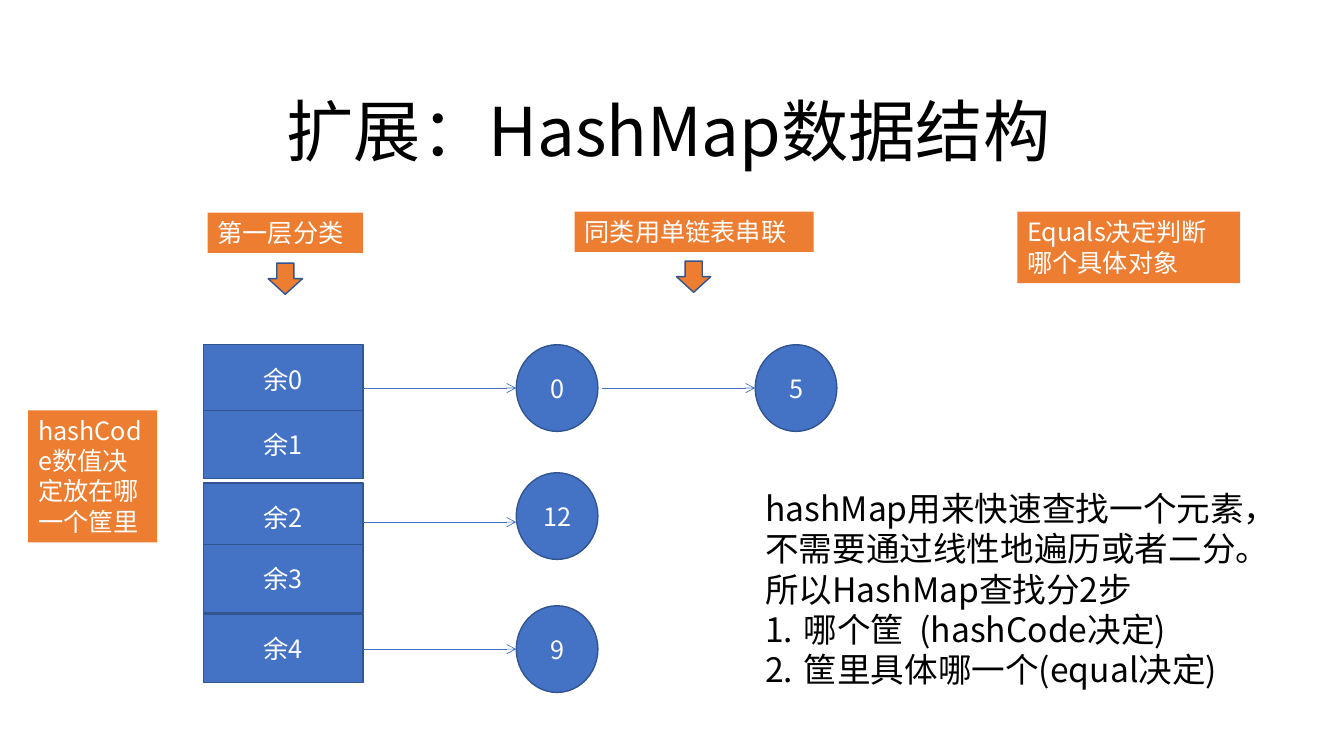
from lxml import etree
from pptx import Presentation
from pptx.dml.color import RGBColor
from pptx.enum.shapes import MSO_CONNECTOR, MSO_SHAPE
from pptx.enum.text import MSO_ANCHOR, MSO_AUTO_SIZE, PP_ALIGN
from pptx.oxml.ns import qn
from pptx.util import Inches, Pt

RECT, OVAL, DOWN = MSO_SHAPE.RECTANGLE, MSO_SHAPE.OVAL, MSO_SHAPE.DOWN_ARROW
LINE = MSO_CONNECTOR.STRAIGHT
TOP, MIDDLE = MSO_ANCHOR.TOP, MSO_ANCHOR.MIDDLE
LEFT, CENTER = PP_ALIGN.LEFT, PP_ALIGN.CENTER
FIXED = MSO_AUTO_SIZE.NONE

BLUE = RGBColor(0x44, 0x72, 0xC4)
NAVY = RGBColor(0x32, 0x54, 0x91)
ORANGE = RGBColor(0xED, 0x7D, 0x31)
WHITE = RGBColor(0xFF, 0xFF, 0xFF)
BLACK = RGBColor(0, 0, 0)
FONT = "Noto Sans CJK SC"

TITLE = "扩展：HashMap数据结构"
INTRO = ["hashMap用来快速查找一个元素，不需要通过线性地遍历或者二分。",
         "所以HashMap查找分2步"]
STEPS = ["哪个筐  (hashCode决定)", "筐里具体哪一个(equal决定)"]
BUCKETS = [("余0", 3.42), ("余1", 4.07), ("余2", 4.79), ("余3", 5.4), ("余4", 6.09)]
CHAINS = [(3.42, 3.85, ["0", "5"]), (4.69, 5.18, ["12"]), (6.01, 6.44, ["9"])]
LABELS = [("第一层分类", 2.06, 2.11, 1.54, 0.4),
          ("同类用单链表串联", 5.7, 2.1, 2.37, 0.4),
          ("hashCode数值决定放在哪一个筐里", 0.28, 4.07, 1.28, 1.31),
          ("Equals决定判断哪个具体对象", 10.09, 2.1, 2.21, 0.71)]
POINTERS = [(2.66, 2.61), (6.71, 2.59)]

BUCKET_X, BUCKET_W, BUCKET_H = 2.02, 1.58, 0.68
NODE_X, NODE_W, NODE_H, PITCH = 5.12, 0.81, 0.86, 2.37
ARROW_W = 1.52


def write(shape, lines, size, color, align, anchor):
    frame = shape.text_frame
    frame.text = "\n".join(lines)
    frame.word_wrap = True
    frame.auto_size = FIXED
    frame.vertical_anchor = anchor
    for para in frame.paragraphs:
        para.alignment = align
        para.space_before = Pt(0)
        for run in para.runs:
            run.font.size = Pt(size)
            run.font.name = FONT
            run.font.color.rgb = color
            face = etree.Element(qn("a:ea"), typeface=FONT)
            run.font._element.find(qn("a:latin")).addnext(face)


def place(shape, *box):
    shape.left, shape.top, shape.width, shape.height = map(Inches, box)


def block(slide, kind, box, fill, edge=None):
    shape = slide.shapes.add_shape(kind, *map(Inches, box))
    shape.shadow.inherit = False
    shape.fill.solid()
    shape.fill.fore_color.rgb = fill
    if edge is None:
        shape.line.fill.background()
    else:
        shape.line.color.rgb = edge
        shape.line.width = Pt(1)
    return shape


def arrow(slide, x, y):
    link = slide.shapes.add_connector(
        LINE, Inches(x), Inches(y), Inches(x + ARROW_W), Inches(y))
    link.line.color.rgb = BLUE
    link.line.width = Pt(0.5)
    etree.SubElement(link.line._get_or_add_ln(), qn("a:tailEnd"), type="arrow")
    etree.SubElement(link._element.spPr, qn("a:effectLst"))


def notes(body):
    write(body, INTRO + STEPS, 24, BLACK, LEFT, TOP)
    for i, para in enumerate(body.text_frame.paragraphs):
        props = para._p.get_or_add_pPr()
        step = i >= len(INTRO)
        indent = Inches(0.38) if step else 0
        props.set("marL", str(indent))
        props.set("indent", str(-indent))
        if step:
            etree.SubElement(props, qn("a:buFont"), typeface="+mj-lt")
            etree.SubElement(props, qn("a:buAutoNum"), type="arabicPeriod")
        else:
            etree.SubElement(props, qn("a:buNone"))


def main():
    """Build the HashMap structure slide."""
    deck = Presentation()
    deck.slide_width, deck.slide_height = Inches(13.33), Inches(7.5)
    slide = deck.slides.add_slide(deck.slide_layouts[1])
    title, body = slide.placeholders
    place(title, 0.67, 0.83, 11.92, 0.91)
    write(title, [TITLE], 48, BLACK, CENTER, MIDDLE)
    place(body, 7.49, 4.79, 5.29, 2.12)
    notes(body)

    for text, y in BUCKETS:
        cell = block(slide, RECT, (BUCKET_X, y, BUCKET_W, BUCKET_H), BLUE, NAVY)
        write(cell, [text], 18, WHITE, CENTER, MIDDLE)
    for top, mid, keys in CHAINS:
        for i, key in enumerate(keys):
            x = NODE_X + i * PITCH
            node = block(slide, OVAL, (x, top, NODE_W, NODE_H), BLUE, NAVY)
            write(node, [key], 18, WHITE, CENTER, MIDDLE)
            arrow(slide, x - ARROW_W, mid)
    for text, *box in LABELS:
        write(block(slide, RECT, box, ORANGE), [text], 18, WHITE, LEFT, TOP)
    for x, y in POINTERS:
        block(slide, DOWN, (x, y, 0.34, 0.31), ORANGE, NAVY)
    deck.save("out.pptx")


if __name__ == "__main__":
    main()
